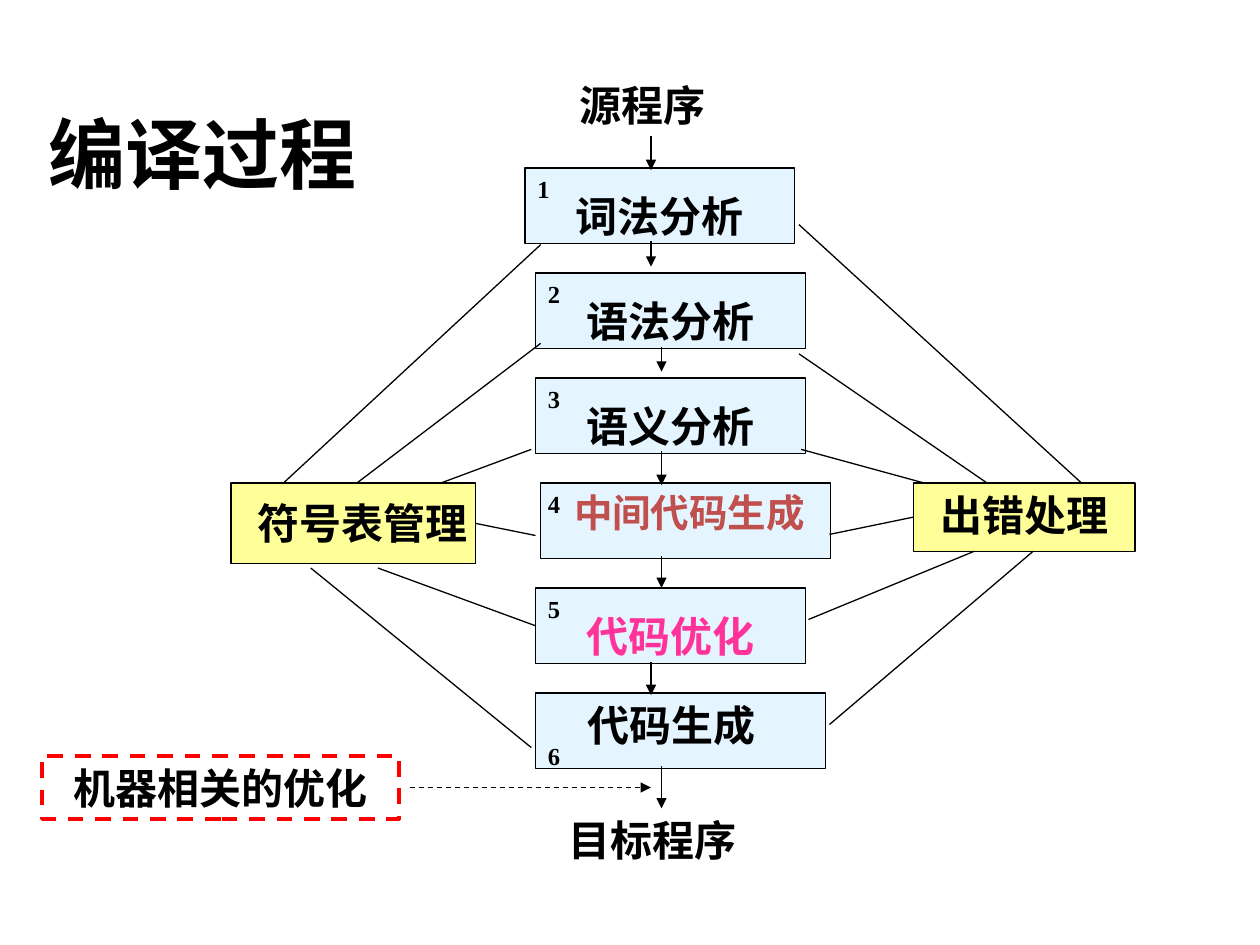
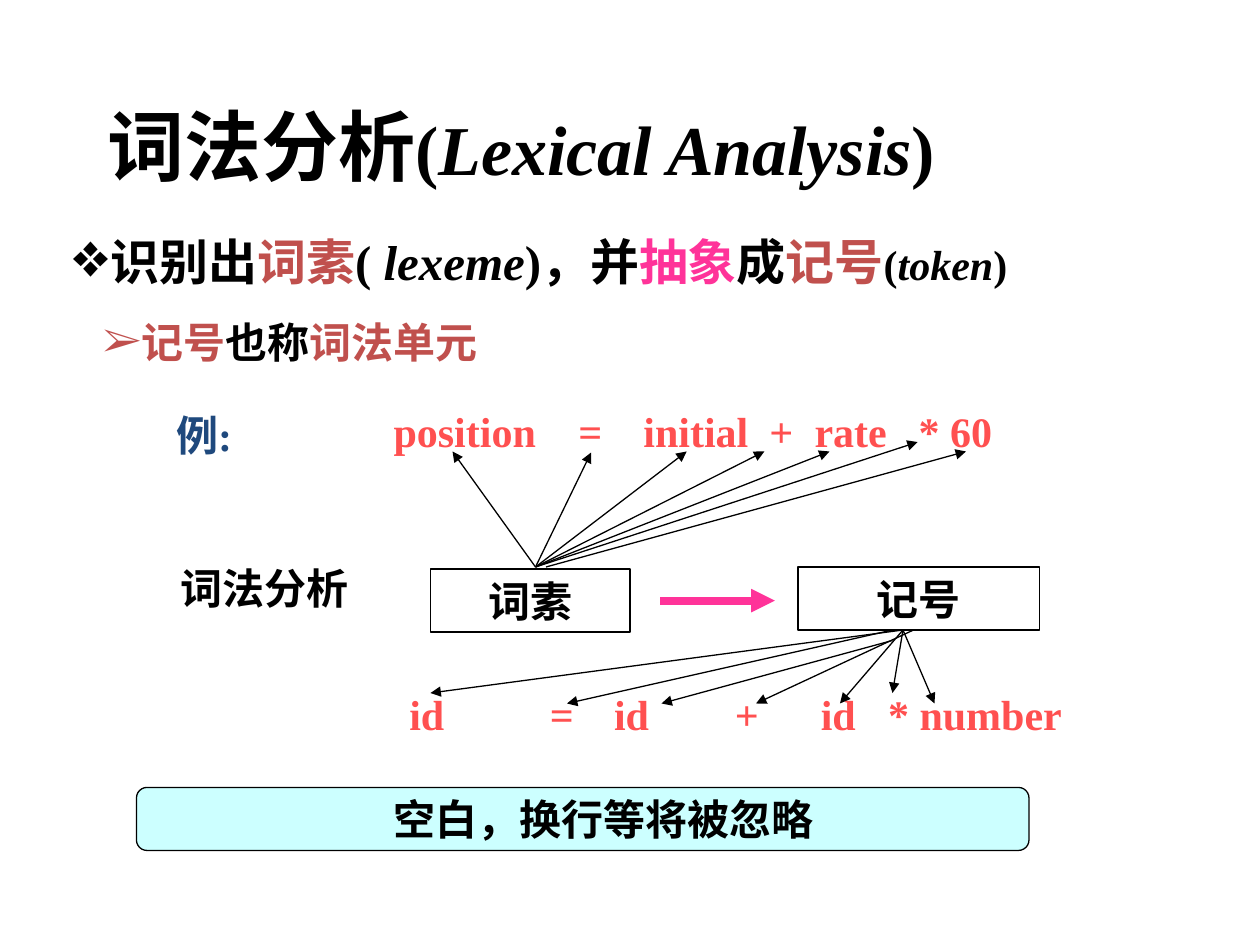
from typing import NamedTuple, Optional

from lxml.etree import SubElement
from pptx import Presentation
from pptx.dml.color import RGBColor
from pptx.enum.dml import MSO_LINE
from pptx.enum.shapes import MSO_CONNECTOR, MSO_SHAPE
from pptx.enum.text import MSO_ANCHOR, MSO_AUTO_SIZE, PP_ALIGN
from pptx.oxml.ns import qn
from pptx.util import Emu, Inches, Pt

BLACK = RGBColor(0x00, 0x00, 0x00)
BRICK = RGBColor(0xC0, 0x50, 0x4D)
PINK = RGBColor(0xFF, 0x33, 0x99)
CORAL = RGBColor(0xFF, 0x50, 0x50)
NAVY = RGBColor(0x1F, 0x49, 0x7D)
RED = RGBColor(0xFF, 0x00, 0x00)
ICE = RGBColor(0xCC, 0xEC, 0xFF)
YELLOW = RGBColor(0xFF, 0xFF, 0x99)
AQUA = RGBColor(0xCC, 0xFF, 0xFF)

SERIF = "Times New Roman"
SANS = "Arial"
LEFT, CENTER = PP_ALIGN.LEFT, PP_ALIGN.CENTER

WIDTH, HEIGHT = Inches(10), Inches(7.5)
COLUMNS = 120
CELL = WIDTH / COLUMNS
LINE_H = 6
INSET = 1.2


class Box(NamedTuple):
    x: float
    y: float
    w: float
    h: float = LINE_H


class Run(NamedTuple):
    text: str
    color: RGBColor = BLACK
    size: float = 24
    italic: bool = False
    font: str = SERIF


class Stage(NamedTuple):
    number: str
    box: Box
    label: Run
    label_box: Box
    align: PP_ALIGN = LEFT
    number_dy: float = 0


class Wire(NamedTuple):
    x1: float
    y1: float
    x2: float
    y2: float
    begin: Optional[tuple] = None
    end: Optional[tuple] = None


class Tokens(NamedTuple):
    y: float
    columns: tuple
    words: tuple


def grid(cells: float) -> Emu:
    return Emu(round(cells * CELL))


def place(sp, box: Box) -> None:
    sp.left, sp.top, sp.width, sp.height = (grid(v) for v in box)


def add_runs(p, runs, align=LEFT) -> None:
    p.alignment = align
    for run in runs:
        r = p.add_run()
        r.text = run.text
        r.font.name = run.font
        r.font.size = Pt(run.size)
        r.font.bold = True
        r.font.italic = run.italic
        r.font.color.rgb = run.color


def add_label(s, box: Box, run: Run, align=LEFT):
    tf = s.shapes.add_textbox(*(grid(v) for v in box)).text_frame
    tf.word_wrap = True
    add_runs(tf.paragraphs[0], [run], align)
    return tf


def add_box(s, box: Box, fill=None, alpha=None, run=None, line=BLACK,
            width=0.75, dash=None, shape=MSO_SHAPE.RECTANGLE):
    sp = s.shapes.add_shape(shape, *(grid(v) for v in box))
    sp.shadow.inherit = False
    if fill is None:
        sp.fill.background()
    else:
        sp.fill.solid()
        sp.fill.fore_color.rgb = fill
    if alpha is not None:
        color = sp.fill._xPr.find(qn("a:solidFill"))[0]
        SubElement(color, qn("a:alpha"), val=str(alpha * 1000))
    sp.line.color.rgb = line
    sp.line.width = Pt(width)
    if dash:
        sp.line.dash_style = dash
    if run:
        tf = sp.text_frame
        tf.vertical_anchor = MSO_ANCHOR.TOP
        add_runs(tf.paragraphs[0], [run], CENTER)
    return sp


def add_wire(s, wire: Wire, arrow=False, color=BLACK, width=0.75, dash=None) -> None:
    ends = (grid(v) for v in wire[:4])
    c = s.shapes.add_connector(MSO_CONNECTOR.STRAIGHT, *ends)
    if wire.begin:
        c.begin_connect(*wire.begin)
    if wire.end:
        c.end_connect(*wire.end)
    c.line.color.rgb = color
    c.line.width = Pt(width)
    if dash:
        c.line.dash_style = dash
    if arrow:
        SubElement(c.line._get_or_add_ln(), qn("a:tailEnd"), type="triangle")
    SubElement(c._element.spPr, qn("a:effectLst"))


def set_title(s, box: Box, runs) -> None:
    sp = s.shapes.title
    place(sp, box)
    tf = sp.text_frame
    tf.auto_size = MSO_AUTO_SIZE.NONE
    tf.vertical_anchor = MSO_ANCHOR.MIDDLE
    add_runs(tf.paragraphs[0], runs)


def set_bullet(p, char: str, color: RGBColor, margin: float, hang: float) -> None:
    pPr = p._p.get_or_add_pPr()
    pPr.set("marL", str(Inches(margin)))
    pPr.set("indent", str(-Inches(hang)))
    SubElement(SubElement(pPr, qn("a:buClr")), qn("a:srgbClr"), val=str(color))
    SubElement(pPr, qn("a:buFont"), typeface=SERIF)
    SubElement(pPr, qn("a:buChar"), char=char)


def add_tokens(s, row: Tokens) -> None:
    start = row.columns[0]
    box = Box(start - INSET, row.y, 110 - start)
    tf = add_label(s, box, Run("\t".join(row.words), CORAL))
    tabs = SubElement(tf.paragraphs[0]._p.get_or_add_pPr(), qn("a:tabLst"))
    for column in row.columns[1:]:
        SubElement(tabs, qn("a:tab"), pos=str(grid(column - start)), algn="l")


def compile_process(prs) -> None:
    s = prs.slides.add_slide(prs.slide_layouts[5])
    set_title(s, Box(3.4, 8, 98.6, 13), [Run("编译过程", size=44)])

    top, step, x, h = 16, 10, 51, 7.2
    y = [top + step * i for i in range(6)]
    stages = [
        Stage("1", Box(50, y[0], 25.7, h), Run("词法分析"), Box(53.6, y[0] + 1.6, 19.2)),
        Stage("2", Box(x, y[1], 25.7, h), Run("语法分析"), Box(54.7, y[1] + 1.6, 19.2)),
        Stage("3", Box(x, y[2], 25.7, h), Run("语义分析"), Box(54.7, y[2] + 1.6, 26.5)),
        Stage("4", Box(51.5, y[3], 27.6, h), Run("中间代码生成", BRICK, 22),
              Box(52.5, y[3], 26.3), CENTER),
        Stage("5", Box(x, y[4], 25.7, h), Run("代码优化", PINK), Box(54.7, y[4] + 1.6, 19.2)),
        Stage("6", Box(x, y[5], 27.6, h), Run("代码生成"), Box(50, y[5], 28), CENTER, 4),
    ]
    boxes = []
    for stage in stages:
        boxes.append(add_box(s, stage.box, ICE, 50))
        add_label(s, stage.label_box, stage.label, stage.align)
        number_x = min(stage.box.x, x)
        add_label(s, Box(number_x, stage.box.y + stage.number_dy, 3, 4),
                  Run(stage.number, size=14))

    add_label(s, Box(54, 7, 16), Run("源程序"))
    add_label(s, Box(53, 77, 24.7), Run("目标程序"))
    symbols = add_box(s, Box(22, 46, 23.3, 7.7), YELLOW)
    add_label(s, Box(22, 46.8, 25), Run("符号表管理"), CENTER)
    errors = add_box(s, Box(87, 46, 21.1, 6.5), YELLOW)
    add_label(s, Box(88, 46, 19.2), Run("出错处理"), CENTER)

    flow = [(62, 13, 3.2), (62, 23, 2.4), (63, 33, 2.4), (63, 43, 3.2),
            (63, 53, 3), (62, 63, 3.2), (63, 73, 4)]
    for fx, fy, length in flow:
        add_wire(s, Wire(fx, fy, fx, fy + length), arrow=True)

    links = [
        Wire(51.5, 23.3, 27, 46),
        Wire(51.5, 32.7, 34, 46),
        Wire(50.6, 42.8, 42, 46),
        Wire(45, 50, 51, 51, begin=(symbols, 3)),
        Wire(36, 54.1, 51, 60, end=(boxes[4], 1)),
        Wire(29.6, 54.1, 50.6, 71.2),
        Wire(103, 46, 76.1, 21.4),
        Wire(94, 46, 76.1, 33.7),
        Wire(88, 46, 76.3, 42.8),
        Wire(79, 50.9, 87, 49, end=(errors, 1)),
        Wire(77, 59, 92.8, 52.5),
        Wire(79, 69, 98.4, 52.5),
    ]
    for link in links:
        add_wire(s, link)

    add_box(s, Box(4, 72, 34), run=Run("机器相关的优化", font=SANS),
            line=RED, width=2.25, dash=MSO_LINE.DASH)
    add_wire(s, Wire(39, 75, 62, 75), arrow=True, dash=MSO_LINE.DASH)


def lexical_analysis(prs) -> None:
    s = prs.slides.add_slide(prs.slide_layouts[1])
    set_title(s, Box(9, 8, 102, 11.5), [
        Run("词法分析", size=44), Run("(", size=40),
        Run("Lexical Analysis", size=40, italic=True), Run(")", size=40)])

    body = s.placeholders[1]
    place(body, Box(5.6, 21.4, 111.4, 14.2))
    tf = body.text_frame
    tf.auto_size = MSO_AUTO_SIZE.NONE
    p = tf.paragraphs[0]
    set_bullet(p, "❖", BLACK, 0.31, 0.31)
    p.space_before = Pt(0)
    add_runs(p, [
        Run("识别出", size=28), Run("词素", BRICK, 28), Run("( ", size=28),
        Run("lexeme", size=28, italic=True), Run(")，并", size=28),
        Run("抽象", PINK, 28), Run("成", size=28), Run("记号", BRICK, 28),
        Run("("), Run("token", italic=True), Run(")")])
    p = tf.add_paragraph()
    p.level = 1
    set_bullet(p, "➢", BRICK, 0.5, 0.25)
    p.space_before = Pt(15)
    add_runs(p, [Run("记号", BRICK), Run("也称"), Run("词法单元", BRICK)])

    add_label(s, Box(15.6, 38.4, 16), Run("例:", NAVY))
    add_label(s, Box(16, 53, 20), Run("词法分析"))
    add_box(s, Box(41, 54.2, 19), run=Run("词素"))
    add_box(s, Box(76, 54, 23), run=Run("记号"))
    add_wire(s, Wire(62.9, 57.2, 73.8, 57.2), arrow=True, color=PINK, width=4.5)

    add_tokens(s, Tokens(38, (37.5, 55.1, 61.3, 73.3, 77.6, 87.5),
                         ("position", "=", "initial", "+", "rate", "* 60")))
    add_tokens(s, Tokens(65, (39, 52.4, 58.5, 70, 78.2, 84.6),
                         ("id", "=", "id", "+", "id", "* number")))

    lexeme_tips = [(43.1, 43), (56.3, 43.1), (65.4, 43), (72.8, 43), (79, 43), (87.4, 42.1)]
    for tip in lexeme_tips:
        add_wire(s, Wire(51, 54, *tip), arrow=True)
    add_wire(s, Wire(52, 54, 92, 43), arrow=True)

    token_wires = [
        Wire(86, 60, 41, 66), Wire(85, 60, 54, 67), Wire(85, 61, 63, 67),
        Wire(87, 60, 72, 67), Wire(86, 60, 80, 67), Wire(86, 60, 85, 66),
        Wire(86, 60, 89, 67),
    ]
    for wire in token_wires:
        add_wire(s, wire, arrow=True)

    add_box(s, Box(13, 75, 85), AQUA, shape=MSO_SHAPE.ROUNDED_RECTANGLE)
    add_label(s, Box(18, 75, 79), Run("空白，换行等将被忽略"), CENTER)


def main() -> None:
    prs = Presentation()
    prs.slide_width, prs.slide_height = WIDTH, HEIGHT
    compile_process(prs)
    lexical_analysis(prs)
    prs.save("out.pptx")


if __name__ == "__main__":
    main()
